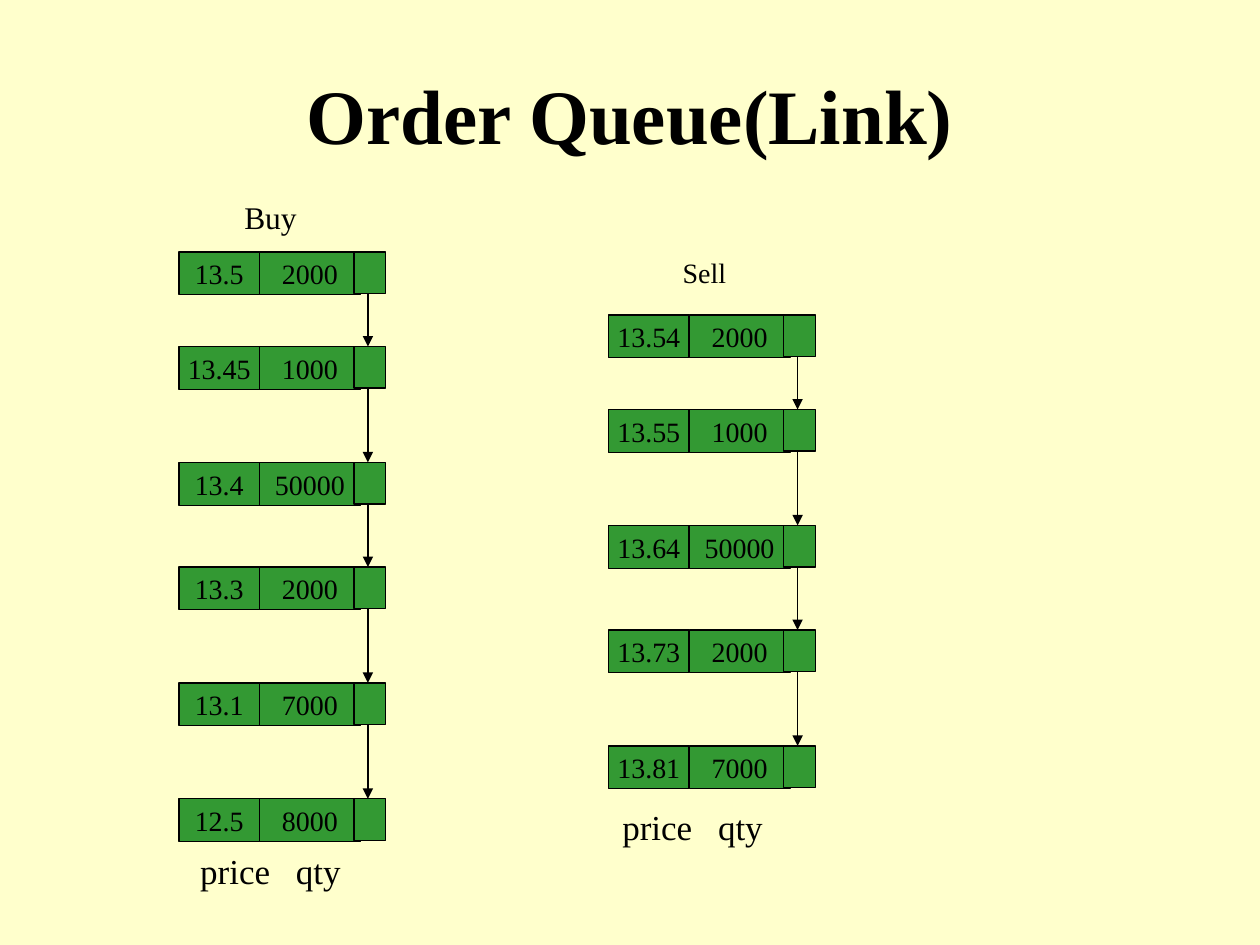
from dataclasses import dataclass

from lxml import etree
from pptx import Presentation
from pptx.dml.color import RGBColor
from pptx.enum.shapes import MSO_CONNECTOR, MSO_SHAPE
from pptx.enum.text import MSO_ANCHOR, PP_ALIGN
from pptx.oxml.ns import qn
from pptx.util import Inches, Pt

RECTANGLE = MSO_SHAPE.RECTANGLE
STRAIGHT = MSO_CONNECTOR.STRAIGHT
MIDDLE, TOP = MSO_ANCHOR.MIDDLE, MSO_ANCHOR.TOP
CENTER, LEFT = PP_ALIGN.CENTER, PP_ALIGN.LEFT

FONT = "Times New Roman"
BLACK, GREEN, CREAM = "000000", "339933", "FFFFCC"
LINE_WIDTH = Pt(0.75)

# Node geometry in inches, measured from the node's left edge
PRICE_WIDTH, QTY_WIDTH = 0.64, 0.8
LINK_LEFT, LINK_WIDTH, LINK_HEIGHT = 1.39, 0.25, 0.33
CELL_HEIGHT = 0.34
ARROW_OFFSET = 1.5
NODE_OFFSETS = (0, 0.75, 1.67, 2.5, 3.42, 4.34)
QTY_TAB = 0.76


@dataclass
class Order:
    price: str
    qty: str


@dataclass
class Queue:
    left: float
    top: float
    orders: list[Order]


@dataclass
class Label:
    text: str
    left: float
    top: float
    width: float
    height: float
    size: int
    bold: bool = False
    align: PP_ALIGN = LEFT
    anchor: MSO_ANCHOR = TOP
    tab: float = 0


QUEUES = [
    Queue(1.42, 2, [
        Order("13.5", "2000"), Order("13.45", "1000"), Order("13.4", "50000"),
        Order("13.3", "2000"), Order("13.1", "7000"), Order("12.5", "8000"),
    ]),
    Queue(4.83, 2.5, [
        Order("13.54", "2000"), Order("13.55", "1000"), Order("13.64", "50000"),
        Order("13.73", "2000"), Order("13.81", "7000"),
    ]),
]

TITLE = Label("Order Queue(Link)", 0.75, 0.28, 8.5, 1.25, 44,
              bold=True, align=CENTER, anchor=MIDDLE)
LABELS = [
    Label("Buy", 1.84, 1.52, 0.71, 0.4, 18),
    Label("Sell", 5.32, 1.98, 0.6, 0.37, 16),
    Label("price\tqty", 1.49, 6.69, 1.32, 0.44, 20, tab=QTY_TAB),
    Label("price\tqty", 4.84, 6.34, 1.32, 0.44, 20, tab=QTY_TAB),
]


def color(value: str) -> RGBColor:
    return RGBColor.from_string(value)


def write(frame, text: str, size: int, align: PP_ALIGN, bold: bool = False) -> None:
    para = frame.paragraphs[0]
    para.alignment = align
    span = para.add_run()
    span.text = text
    span.font.name = FONT
    span.font.size = Pt(size)
    span.font.bold = bold
    span.font.color.rgb = color(BLACK)


def add_label(page, label: Label) -> None:
    box = page.shapes.add_textbox(Inches(label.left), Inches(label.top),
                                  Inches(label.width), Inches(label.height))
    frame = box.text_frame
    frame.word_wrap = True
    frame.vertical_anchor = label.anchor
    write(frame, label.text, label.size, label.align, label.bold)
    if label.tab:
        properties = frame.paragraphs[0]._p.get_or_add_pPr()
        stops = etree.SubElement(properties, qn("a:tabLst"))
        etree.SubElement(stops, qn("a:tab"), pos=str(Inches(label.tab)), algn="l")


def add_cell(group, left: float, top: float, width: float, height: float,
             text: str = "") -> None:
    cell = group.shapes.add_shape(RECTANGLE, Inches(left), Inches(top),
                                  Inches(width), Inches(height))
    cell.shadow.inherit = False
    cell.fill.solid()
    cell.fill.fore_color.rgb = color(GREEN)
    cell.line.color.rgb = color(BLACK)
    cell.line.width = LINE_WIDTH
    if text:
        cell.text_frame.word_wrap = False
        cell.text_frame.vertical_anchor = MIDDLE
        write(cell.text_frame, text, 16, CENTER)


def add_arrow(group, x: float, start: float, end: float) -> None:
    arrow = group.shapes.add_connector(STRAIGHT, Inches(x), Inches(start),
                                       Inches(x), Inches(end))
    arrow.line.color.rgb = color(BLACK)
    arrow.line.width = LINE_WIDTH
    etree.SubElement(arrow.line._get_or_add_ln(), qn("a:tailEnd"), type="triangle")
    etree.SubElement(arrow._element.spPr, qn("a:effectLst"))


def add_queue(page, queue: Queue) -> None:
    previous_top = None
    for order, offset in zip(queue.orders, NODE_OFFSETS):
        top = queue.top + offset
        node = page.shapes.add_group_shape()
        add_cell(node, queue.left, top, PRICE_WIDTH, CELL_HEIGHT, order.price)
        add_cell(node, queue.left + PRICE_WIDTH, top, QTY_WIDTH, CELL_HEIGHT, order.qty)
        add_cell(node, queue.left + LINK_LEFT, top, LINK_WIDTH, LINK_HEIGHT)
        if previous_top is not None:
            add_arrow(node, queue.left + ARROW_OFFSET, previous_top + LINK_HEIGHT, top)
        previous_top = top


def main() -> None:
    deck = Presentation()
    deck.slide_width, deck.slide_height = Inches(10), Inches(7.5)
    page = deck.slides.add_slide(deck.slide_layouts[6])
    page.background.fill.solid()
    page.background.fill.fore_color.rgb = color(CREAM)

    # Title
    add_label(page, TITLE)

    # Linked buy and sell orders
    for queue in QUEUES:
        add_queue(page, queue)

    # Queue headings and column captions
    for label in LABELS:
        add_label(page, label)

    deck.save("out.pptx")


if __name__ == "__main__":
    main()
